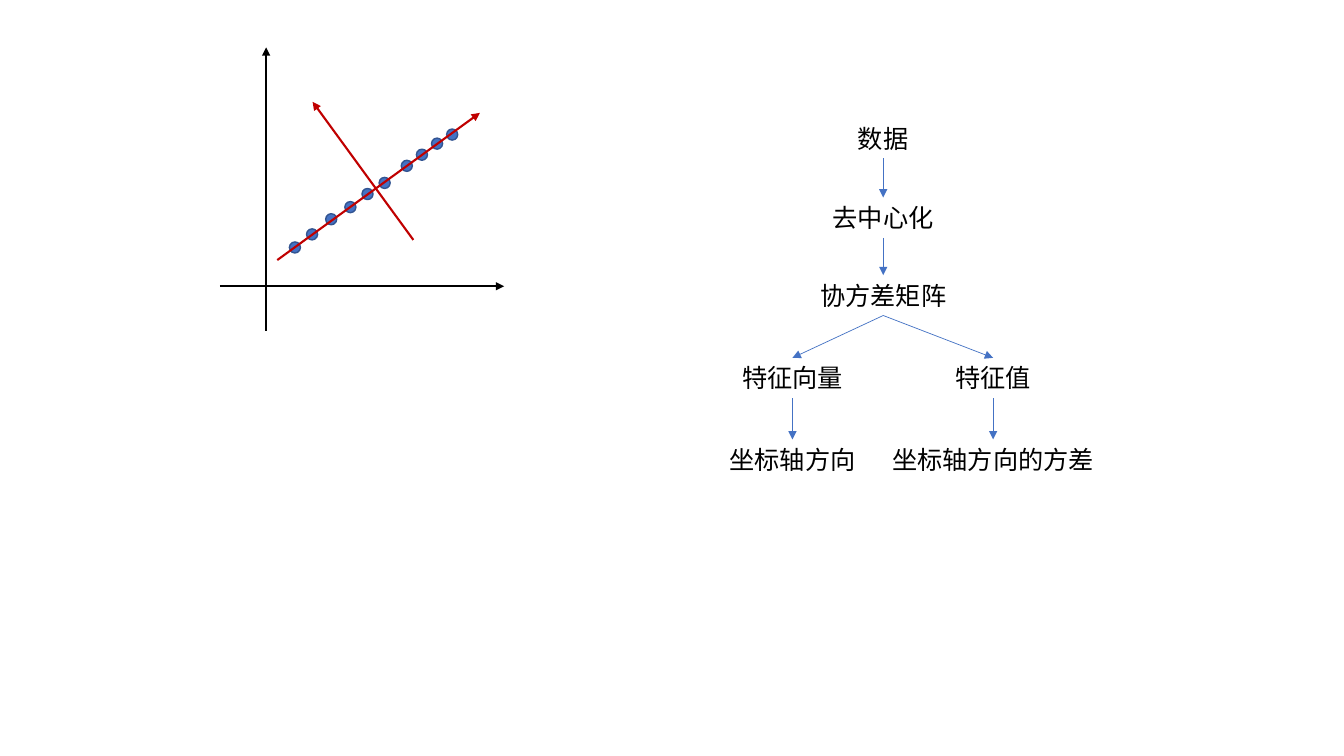
from pptx import Presentation, util as u
from pptx.dml.color import RGBColor
from pptx.enum import shapes, text
from pptx.oxml.ns import qn
from lxml import etree

INK = {"axis": "000000", "dot": "4472C4", "rim": "325491", "trend": "C00000", "flow": "4472C4"}
FONT = "Noto Sans CJK SC"
CELL = 0.1
DOT = 1.1
HIGH = 4

AXES = [((0, 23.7), (28.2, 23.7)), ((4.6, 28.1), (4.6, 0))]
TRENDS = [((5.7, 21.1), (25.8, 6.5)), ((19.2, 19.1), (9.2, 5.4))]
DOTS = [(7.45, 19.85), (9.15, 18.55), (11.05, 17.05), (12.95, 15.85), (14.65, 14.55),
        (16.35, 13.45), (18.55, 11.75), (20.05, 10.65), (21.55, 9.55), (23.05, 8.65)]

ROWS = [0, 7.9, 15.6, 23.8, 31.9]
COLS = {"left": 7.5, "mid": 16.5, "right": 27.4}
STEPS = [("数据", "mid", 0), ("去中心化", "mid", 1), ("协方差矩阵", "mid", 2),
         ("特征向量", "left", 3), ("特征值", "right", 3),
         ("坐标轴方向", "left", 4), ("坐标轴方向的方差", "right", 4)]
LINKS = [("mid", "mid", 0), ("mid", "mid", 1), ("mid", "left", 2), ("mid", "right", 2),
         ("left", "left", 3), ("right", "right", 3)]


def spot(box, col, row):
    return u.Inches(box[0] + col * CELL), u.Inches(box[1] + row * CELL)


def arrow(slide, box, start, end, ink, width):
    line = slide.shapes.add_connector(
        shapes.MSO_CONNECTOR.STRAIGHT, *spot(box, *start), *spot(box, *end))
    line.line.color.rgb = RGBColor.from_string(INK[ink])
    line.line.width = u.Pt(width)
    etree.SubElement(line.line._get_or_add_ln(), qn("a:tailEnd"), type="triangle")
    etree.SubElement(line._element.spPr, qn("a:effectLst"))


def dot(slide, box, col, row):
    size = u.Inches(DOT * CELL)
    mark = slide.shapes.add_shape(
        shapes.MSO_SHAPE.OVAL, *spot(box, col - DOT / 2, row - DOT / 2), size, size)
    mark.shadow.inherit = False
    mark.fill.solid()
    mark.fill.fore_color.rgb = RGBColor.from_string(INK["dot"])
    mark.line.color.rgb = RGBColor.from_string(INK["rim"])
    mark.line.width = u.Pt(1)


def label(slide, box, words, col, row):
    wide = 2.5 * len(words) + 2
    item = slide.shapes.add_textbox(
        *spot(box, col - wide / 2, row), u.Inches(wide * CELL), u.Inches(HIGH * CELL))
    frame = item.text_frame
    frame.text = words
    frame.word_wrap = False
    frame.auto_size = text.MSO_AUTO_SIZE.SHAPE_TO_FIT_TEXT
    para = frame.paragraphs[0]
    para.alignment = text.PP_ALIGN.CENTER
    font = para.runs[0].font
    font.size = u.Pt(18)
    font.name = FONT
    font.color.rgb = RGBColor.from_string(INK["axis"])
    etree.SubElement(font._element, qn("a:ea"), typeface=FONT)


def plot(slide, box):
    for start, end in AXES:
        arrow(slide, box, start, end, "axis", 1.5)
    for col, row in DOTS:
        dot(slide, box, col, row)
    for start, end in TRENDS:
        arrow(slide, box, start, end, "trend", 1.5)


def flow(slide, box):
    for words, col, row in STEPS:
        label(slide, box, words, COLS[col], ROWS[row])
    for head, foot, row in LINKS:
        arrow(slide, box, (COLS[head], ROWS[row] + HIGH),
              (COLS[foot], ROWS[row + 1]), "flow", 0.5)


def main():
    deck = Presentation()
    deck.slide_width = u.Inches(13.33)
    deck.slide_height = u.Inches(7.5)
    slide = deck.slides.add_slide(deck.slide_layouts[6])
    plot(slide, (2.18, 0.47))
    flow(slide, (7.11, 1.17))
    deck.save("out.pptx")


if __name__ == "__main__":
    main()
